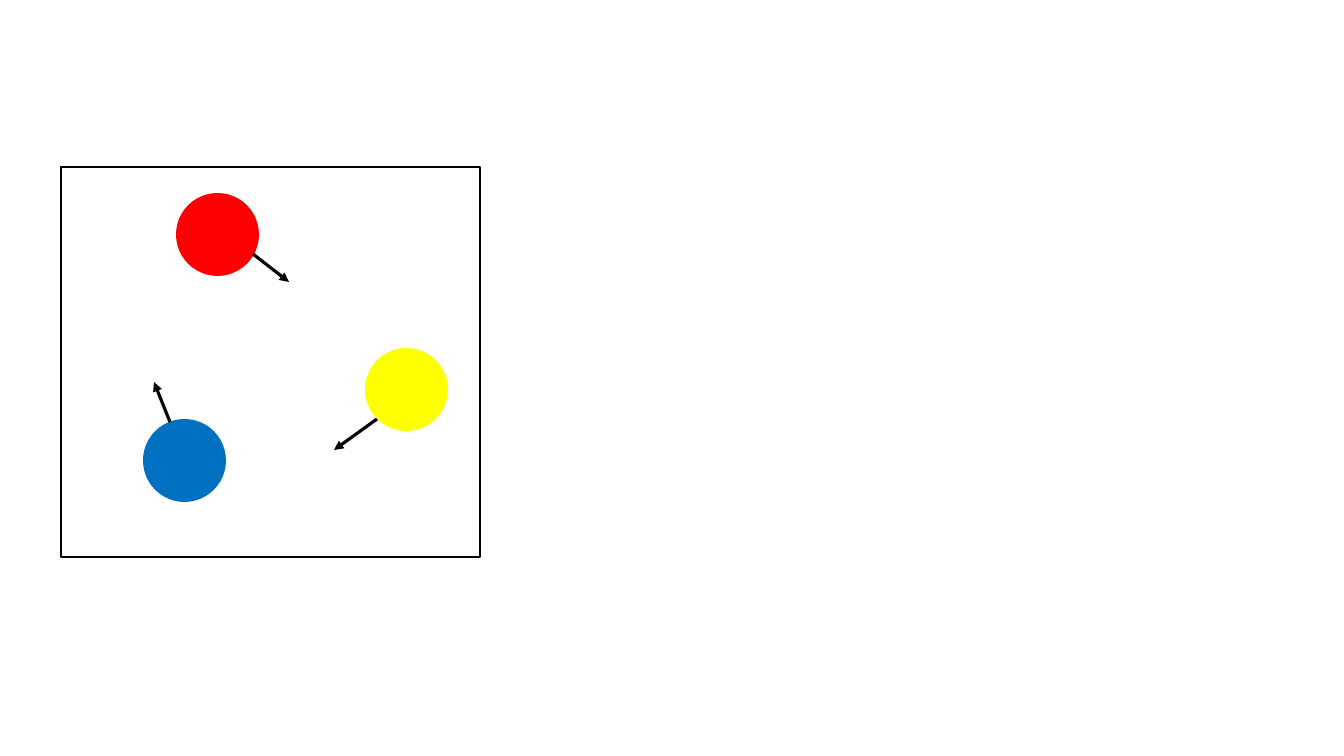
from pptx import Presentation
from pptx.dml.color import RGBColor
from pptx.enum.shapes import MSO_CONNECTOR as CONN, MSO_SHAPE as SHAPE
from pptx.oxml.ns import qn
from pptx.util import Emu, Pt
from lxml.etree import SubElement

COLORS = {
    "white": "FFFFFF",
    "black": "000000",
    "red": "FF0000",
    "yellow": "FFFF00",
    "blue": "0070C0",
}
DIAMETER = 83
BALLS = [
    ("red", (176, 193), (253, 254), (289, 282)),
    ("yellow", (365, 348), (377, 419), (334, 450)),
    ("blue", (143, 419), (170, 422), (154, 382)),
]


def px(n):
    return Emu(round(n * 914400 / 100.8))


def rgb(name):
    return RGBColor.from_string(COLORS[name])


def add_solid(s, kind, x, y, w, h, color):
    sp = s.shapes.add_shape(kind, px(x), px(y), px(w), px(h))
    sp.shadow.inherit = False
    sp.fill.solid()
    sp.fill.fore_color.rgb = rgb(color)
    sp.line.fill.background()
    return sp


def add_box(s, x, y, w, h):
    box = add_solid(s, SHAPE.RECTANGLE, x, y, w, h, "white")
    box.line.color.rgb = rgb("black")
    box.line.width = Pt(1)


def add_arrow(s, start, end):
    arrow = s.shapes.add_connector(CONN.STRAIGHT, *map(px, start + end))
    arrow.line.color.rgb = rgb("black")
    arrow.line.width = Pt(2.25)
    SubElement(arrow.line._get_or_add_ln(), qn("a:tailEnd"), type="triangle")
    SubElement(arrow._element.spPr, qn("a:effectLst"))


def add_ball(s, color, corner, start, end):
    add_solid(s, SHAPE.OVAL, *corner, DIAMETER, DIAMETER, color)
    add_arrow(s, start, end)


def main():
    prs = Presentation()
    prs.slide_width, prs.slide_height = px(1344), px(756)
    s = prs.slides.add_slide(prs.slide_layouts[6])
    add_box(s, 61, 167, 419, 390)
    for ball in BALLS:
        add_ball(s, *ball)
    prs.save("out.pptx")


if __name__ == "__main__":
    main()
